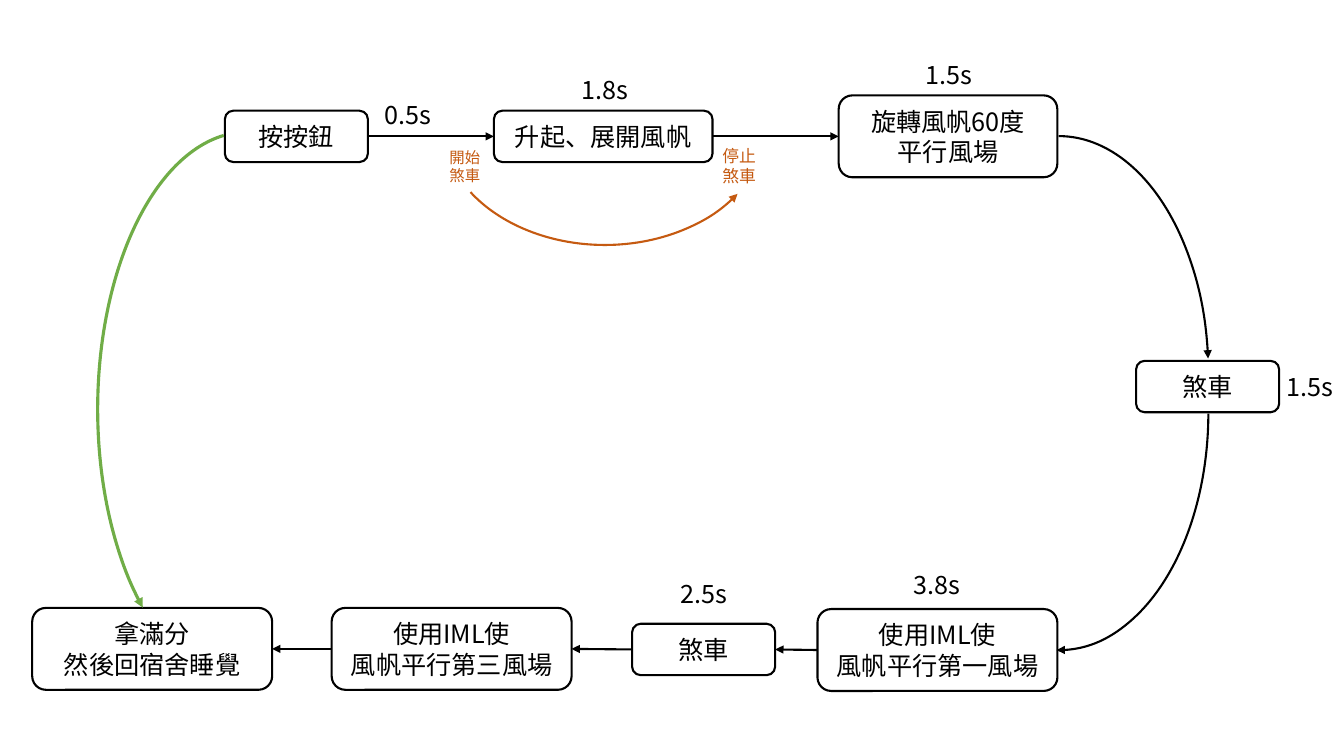
from lxml.etree import SubElement
from pptx import Presentation
from pptx.dml.color import RGBColor
from pptx.enum.shapes import MSO_CONNECTOR, MSO_SHAPE
from pptx.enum.text import MSO_ANCHOR, MSO_AUTO_SIZE, PP_ALIGN
from pptx.oxml.ns import qn
from pptx.util import Pt

FONT = "Noto Sans CJK SC"
BLACK, WHITE, RUST, GREEN = "000000", "FFFFFF", "C55A11", "70AD47"


def write(shape, text, size=18, hue=BLACK, align=PP_ALIGN.LEFT):
    frame = shape.text_frame
    frame.text = text
    for para in frame.paragraphs:
        para.alignment = align
        for run in para.runs:
            run.font.size = Pt(size)
            run.font.name = FONT
            run.font.color.rgb = RGBColor.from_string(hue)
            SubElement(run.font._element, qn("a:ea"), typeface=FONT)


def stroke(shape, hue=BLACK, width=1.5, arrow=None):
    shape.line.color.rgb = RGBColor.from_string(hue)
    shape.line.width = Pt(width)
    if arrow:
        SubElement(shape.line._get_or_add_ln(), qn(f"a:{arrow}End"), type="triangle")


deck = Presentation()
deck.slide_width, deck.slide_height = Pt(960), Pt(540)
shapes = deck.slides.add_slide(deck.slide_layouts[6]).shapes

# Steps: centre x, centre y, size, text
TOP, MID, LOW = 97.4, 276.1, 463.9
SMALL, WIDE, TALL, LARGE = (102.2, 36.7), (156.2, 36.7), (156.2, 58.5), (171.4, 58.5)
steps = {
    "press": (211.7, TOP, SMALL, "按按鈕"),
    "raise": (430.9, TOP, WIDE, "升起、展開風帆"),
    "turn": (677.2, TOP, TALL, "旋轉風帆60度\n平行風場"),
    "brake": (862.6, MID, SMALL, "煞車"),
    "first": (674.6 - 5, LOW + 0.4, LARGE, "使用IML使\n風帆平行第一風場"),
    "slow": (502.6, LOW, SMALL, "煞車"),
    "third": (322.6, LOW - 0.4, LARGE, "使用IML使\n風帆平行第三風場"),
    "sleep": (108.7, LOW - 0.4, LARGE, "拿滿分\n然後回宿舍睡覺"),
}
boxes = {}
for name, (x, y, (w, h), text) in steps.items():
    box = shapes.add_shape(MSO_SHAPE.ROUNDED_RECTANGLE,
                           Pt(x - w / 2), Pt(y - h / 2), Pt(w), Pt(h))
    box.shadow.inherit = False
    box.fill.solid()
    box.fill.fore_color.rgb = RGBColor.from_string(WHITE)
    stroke(box)
    box.text_frame.vertical_anchor = MSO_ANCHOR.MIDDLE
    write(box, text, align=PP_ALIGN.CENTER)
    boxes[name] = box

# Straight arrows: top row runs right, bottom row runs left
LEFT, RIGHT = 1, 3
for start, end, exit, entry in [
    ("press", "raise", RIGHT, LEFT),
    ("raise", "turn", RIGHT, LEFT),
    ("first", "slow", LEFT, RIGHT),
    ("slow", "third", LEFT, RIGHT),
    ("third", "sleep", LEFT, RIGHT),
]:
    link = shapes.add_connector(MSO_CONNECTOR.STRAIGHT, 0, 0, 0, 0)
    link.begin_connect(boxes[start], exit)
    link.end_connect(boxes[end], entry)
    stroke(link, arrow="tail")
    SubElement(link._element.spPr, qn("a:effectLst"))

# Curved arrows: bounds, start and end angle in degrees, colour, width, arrow end
for x, y, w, h, start, end, hue, width, arrow in [
    (315.4, 0, 233.3, 175, 28.28, 152.59, RUST, 1.5, "head"),
    (649.4, 97.2, 213.8, 339.1, 270, 354.28, BLACK, 1.5, "tail"),
    (649.4, 125.3, 213.8, 339.1, 0.33, 90.52, BLACK, 1.5, "tail"),
    (69.8, 94.3, 213.8, 396, 117.78, 265.08, GREEN, 2.25, "head"),
]:
    arc = shapes.add_shape(MSO_SHAPE.ARC, Pt(x), Pt(y), Pt(w), Pt(h))
    arc.adjustments[0], arc.adjustments[1] = start * 0.6, end * 0.6
    arc.shadow.inherit = False
    arc.fill.background()
    stroke(arc, hue, width, arrow)

# Times and brake notes: left, top, width, height, text, size, colour
times = [(408.2, 49.7, "1.8s"), (267.8, 67.7, "0.5s"), (653.8, 38.9, "1.5s"),
         (912.2, 261.4, "1.5s"), (645.8, 403.2, "3.8s"), (478.8, 409.7, "2.5s")]
notes = [(313.9, 102.2, 36.7, 33.8, "開始\n煞車", 11, RUST),
         (509, 100.8, 38.9, 36, "停止\n煞車", 12, RUST)]
notes += [(x, y, 48.2, 28.8, text, 18, BLACK) for x, y, text in times]
for x, y, w, h, text, size, hue in notes:
    note = shapes.add_textbox(Pt(x), Pt(y), Pt(w), Pt(h))
    note.text_frame.word_wrap = False
    note.text_frame.auto_size = MSO_AUTO_SIZE.SHAPE_TO_FIT_TEXT
    write(note, text, size=size, hue=hue)

deck.save("out.pptx")
